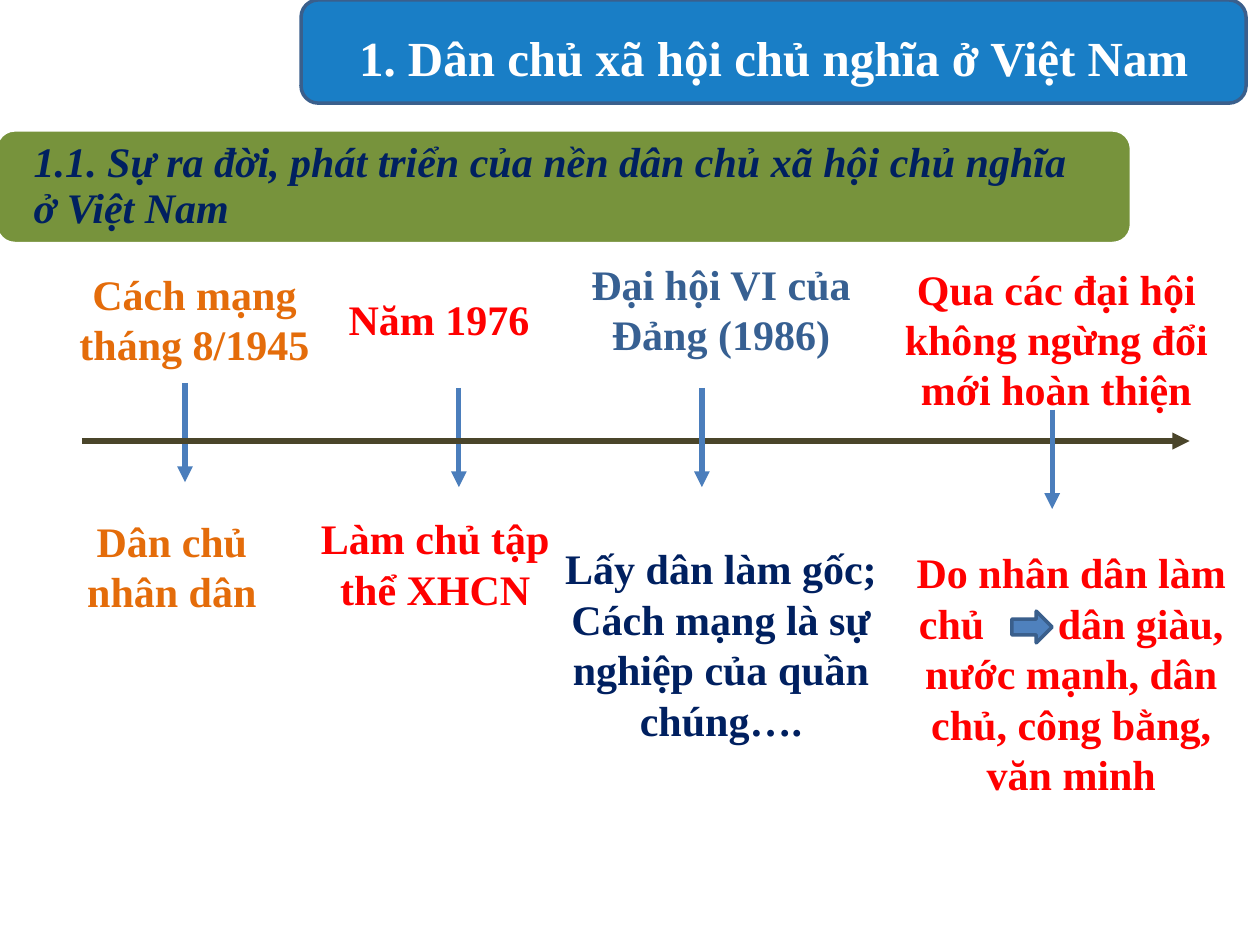
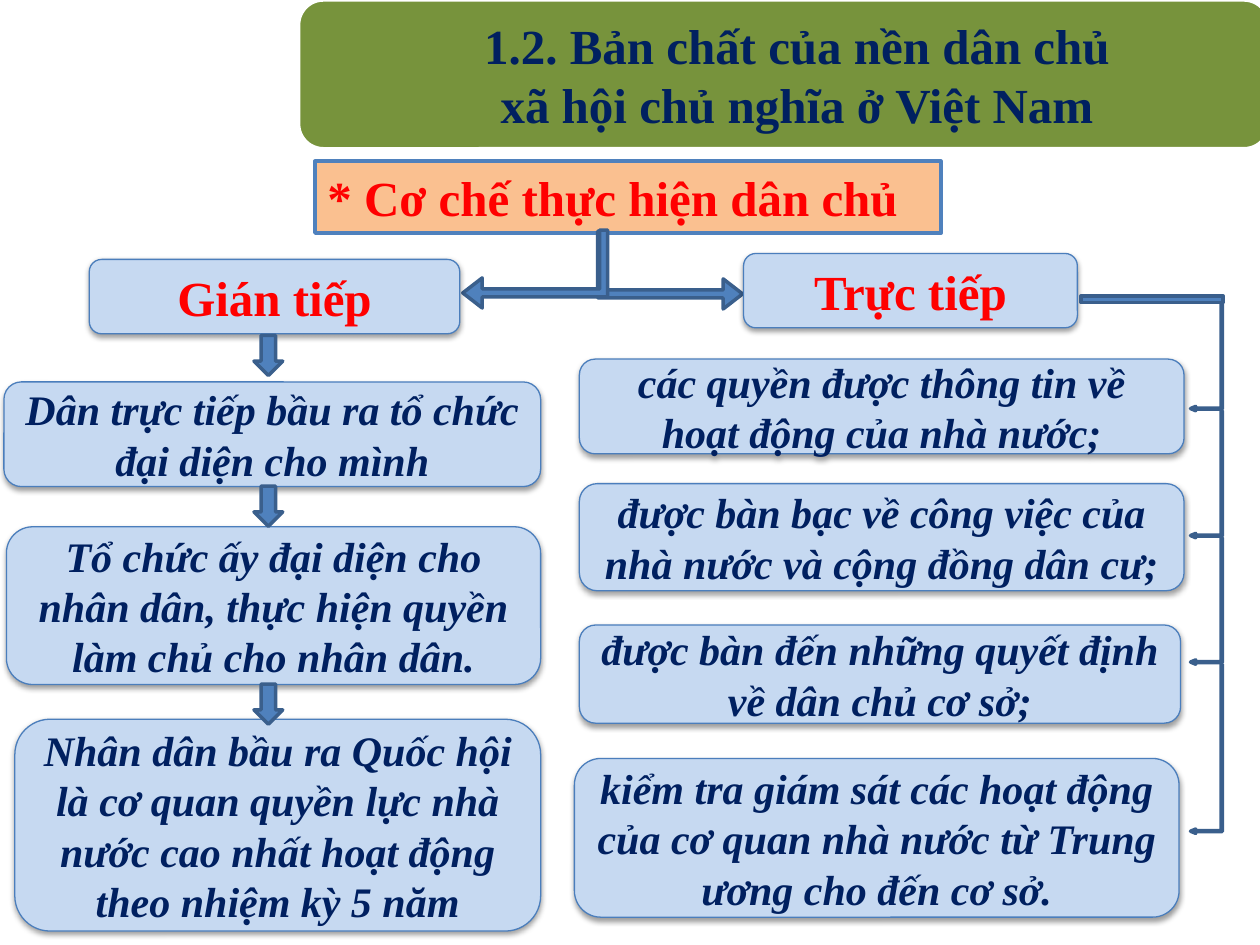
from collections import namedtuple
from itertools import pairwise

from lxml.etree import SubElement
from pptx import Presentation
from pptx.dml.color import RGBColor
from pptx.enum.shapes import MSO_CONNECTOR as Connector, MSO_SHAPE as Shape
from pptx.enum.text import MSO_ANCHOR as Anchor, MSO_AUTO_SIZE as AutoSize, PP_ALIGN as Align
from pptx.oxml.ns import qn
from pptx.util import Cm, Pt

Box = namedtuple("Box", "left top width height")
Milestone = namedtuple("Milestone", "event event_box event_color note note_box note_color arrow")

COLORS = {
    "white": "FFFFFF", "black": "000000", "navy": "002060", "red": "FF0000",
    "orange": "E46C0A", "steel": "376092", "green": "77933C", "title_blue": "0070C0",
    "pale_blue": "C6D9F1", "peach": "FAC090", "arrow": "4F81BD", "arrow_edge": "3A5F8C",
    "edge": "4B7EBC", "axis": "4A452A",
}
BASE = {"name": "Times New Roman", "bold": True, "italic": False}
HEADING = {**BASE, "size": Pt(28)}
BODY = {**BASE, "size": Pt(24)}
BODY_ITALIC = {**BODY, "italic": True}
FRAME = {"word_wrap": True, "auto_size": AutoSize.NONE}
TITLE_MARGINS = {"margin_left": Cm(0.61), "margin_right": Cm(0.61),
                 "margin_top": 0, "margin_bottom": 0}
BAND_MARGINS = {**TITLE_MARGINS, "margin_left": Cm(0.65), "margin_right": Cm(0.65)}

MILESTONES = [
    Milestone("Cách mạng tháng 8/1945", Box(1.14, 5.28, 5.56, 2.31), "orange",
              "Dân chủ nhân dân", Box(0.86, 10.26, 5.21, 2.31), "orange", (3.73, 7.72)),
    Milestone("Năm 1976", Box(6.07, 5.79, 5.56, 1.27), "red",
              "Làm chủ tập thể XHCN", Box(6.17, 10.21, 5.21, 2.31), "red", (9.25, 7.82)),
    Milestone("Đại hội VI của Đảng (1986)", Box(10.74, 5.08, 7.59, 2.31), "steel",
              "Lấy dân làm gốc;\nCách mạng là sự nghiệp của quần chúng….",
              Box(10.74, 10.82, 7.59, 4.37), "navy", (14.15, 7.82)),
    Milestone("Qua các đại hội không ngừng đổi mới hoàn thiện",
              Box(17.5, 5.18, 7.59, 3.33), "red",
              "Do nhân dân làm chủ| |dân giàu, nước mạnh, dân chủ, công bằng, văn minh",
              Box(17.8, 10.9, 7.59, 5.38), "red", (21.21, 8.26)),
]
INDIRECT_STEPS = [
    ("Dân trực tiếp bầu ra tổ chức đại diện cho mình", 0, 2.47, 2.11),
    ("Tổ chức ấy đại diện cho nhân dân, thực hiện quyền làm chủ cho nhân dân.", 0.05, 5.39, 3.18),
    ("Nhân dân bầu ra Quốc hội là cơ quan quyền lực nhà nước cao nhất hoạt động "
     "theo nhiệm kỳ 5 năm", 0.22, 9.27, 4.27),
]
DIRECT_RIGHTS = [
    ("các quyền được thông tin về hoạt động của nhà nước;", 0.1, 2.13, 12.19, 1.91),
    ("được bàn bạc về công việc của nhà nước và cộng đồng dân cư;", 0.1, 4.64, 12.19, 2.16),
    ("được bàn đến những quyết định về dân chủ cơ sở;", 0.1, 7.49, 12.12, 1.98),
    ("kiểm tra giám sát các hoạt động của cơ quan nhà nước từ Trung ương cho đến cơ sở.",
     0, 10.18, 12.19, 3.2),
]


def rgb(color):
    return RGBColor.from_string(COLORS[color])


def assign(target, values):
    for name, value in values.items():
        setattr(target, name, value)


def lengths(box):
    return [Cm(value) for value in box]


def inside(box, left, top, width, height):
    return Box(box.left + left, box.top + top, width, height)


def write(shape, text, look, color, align=Align.CENTER, anchor=Anchor.MIDDLE,
          margins=None, spacing=None):
    frame = shape.text_frame
    assign(frame, {**FRAME, "vertical_anchor": anchor, **(margins or {})})
    for index, line in enumerate(text.split("\n")):
        para = frame.add_paragraph() if index else frame.paragraphs[0]
        assign(para, {"alignment": align, "line_spacing": spacing})
        for part in line.split("|"):
            span = para.add_run()
            span.text = part
            assign(span.font, look)
            span.font.color.rgb = rgb(color)
            if part == " ":
                span._r.get_or_add_rPr().set("spc", "3600")


def add_text(page, box, text, color):
    write(page.shapes.add_textbox(*lengths(box)), text, BODY, color, anchor=Anchor.TOP)


def add_block(page, kind, box, fill, edge, weight=2):
    block = page.shapes.add_shape(kind, *lengths(box))
    block.shadow.inherit = False
    block.fill.solid()
    block.fill.fore_color.rgb = rgb(fill)
    block.line.color.rgb = rgb(edge)
    block.line.width = Pt(weight)
    return block


def add_arrow(page, kind, box):
    return add_block(page, kind, box, "arrow", "arrow_edge")


def add_elbow(page, box, rotation, flip, adjustments):
    shift = (box.width - box.height) / 2
    frame = Box(box.left + shift, box.top - shift, box.height, box.width)
    elbow = add_arrow(page, Shape.BENT_UP_ARROW, frame)
    elbow.rotation = rotation
    for index, value in enumerate(adjustments):
        elbow.adjustments[index] = value
    if flip:
        elbow._element.spPr.find(qn("a:xfrm")).set(flip, "1")


def add_line(page, start, end, color, weight):
    line = page.shapes.add_connector(Connector.STRAIGHT, *lengths(start + end))
    line.line.color.rgb = rgb(color)
    line.line.width = Pt(weight)
    SubElement(line.line._get_or_add_ln(), qn("a:tailEnd")).set("type", "triangle")
    SubElement(line._element.spPr, qn("a:effectLst"))


def add_card(page, box, text, look=BODY_ITALIC, color="navy"):
    card = add_block(page, Shape.ROUNDED_RECTANGLE, box, "pale_blue", "edge", 0.75)
    effects = card._element.spPr.find(qn("a:effectLst"))
    shadow = SubElement(effects, qn("a:outerShdw"), blurRad="40000", dist="20000",
                        dir="5400000", rotWithShape="0")
    tone = SubElement(shadow, qn("a:srgbClr"), val=COLORS["black"])
    SubElement(tone, qn("a:alpha"), val="38000")
    write(card, text, look, color)


def add_band(page, box, fill="green", edge="white"):
    return add_block(page, Shape.ROUNDED_RECTANGLE, box, fill, edge)


def set_title(page, box, text, color):
    title = page.shapes.title
    page.shapes._spTree.append(title._element)
    assign(title, dict(zip(box._fields, lengths(box))))
    write(title, text, HEADING, color, margins=TITLE_MARGINS)


def title_bar(page, box):
    bar = add_band(page, box, "title_blue", "arrow_edge")
    tone = bar._element.spPr.find(qn("a:solidFill"))[0]
    SubElement(tone, qn("a:alpha"), val="90000")
    set_title(page, inside(box, 0, 0.1, box.width, box.height),
              "1. Dân chủ xã hội chủ nghĩa ở Việt Nam", "white")


def section_band(page, box):
    write(add_band(page, box),
          "1.1. Sự ra đời, phát triển của nền dân chủ xã hội chủ nghĩa ở Việt Nam",
          BODY_ITALIC, "navy", Align.LEFT, margins=BAND_MARGINS, spacing=0.9)


def add_milestone(page, item):
    add_text(page, item.event_box, item.event, item.event_color)
    add_text(page, item.note_box, item.note, item.note_color)
    x, y = item.arrow
    add_line(page, (x, y), (x, y + 2), "edge", 3)


def timeline(page, box):
    for item in MILESTONES[:2]:
        add_milestone(page, item)
    add_line(page, (box.left, box.top), (box.left + box.width, box.top), "axis", 3.25)
    for item in MILESTONES[2:]:
        add_milestone(page, item)
    add_arrow(page, Shape.RIGHT_ARROW, inside(box, 18.75, 3.43, 0.81, 0.64))


def title_band(page, box):
    add_band(page, box)
    set_title(page, inside(box, 0.38, 0.14, 19.33, 2.72),
              "1.2. Bản chất của nền dân chủ\nxã hội chủ nghĩa ở Việt Nam", "navy")


def mechanism(page, box):
    label = add_block(page, Shape.RECTANGLE, box, "peach", "arrow")
    write(label, "* Cơ chế thực hiện dân chủ", HEADING, "red", Align.LEFT, Anchor.TOP)
    bend = (0.103, 0.193, 0.25)
    add_elbow(page, inside(box, 5.7, 1.41, 2.92, 1.57), 90, None, bend)
    add_elbow(page, inside(box, 2.98, 1.39, 2.92, 1.57), 270, "flipH", bend)


def indirect_branch(page, box):
    add_card(page, inside(box, 1.72, 0, 7.47, 1.5), "Gián tiếp", HEADING, "red")
    for text, left, top, height in INDIRECT_STEPS:
        add_card(page, inside(box, left, top, box.width - left, height), text)
    for top in (1.53, 4.57, 8.56):
        add_arrow(page, Shape.DOWN_ARROW, inside(box, 5.04, top, 0.58, 0.81))


def direct_branch(page, box):
    add_card(page, inside(box, 3.41, 0, 6.73, 1.5), "Trực tiếp", HEADING, "red")
    for text, *place in DIRECT_RIGHTS:
        add_card(page, inside(box, *place), text)
    for top, bottom in pairwise((0.86, 3.17, 5.73, 8.28, 11.69)):
        add_elbow(page, inside(box, 12.42, top, 0.64, bottom - top), 90, "flipV",
                  (0.031, 0.067, 0.164))
    add_arrow(page, Shape.RECTANGLE, inside(box, 10.21, 0.86, 2.87, 0.13))


def history_page(page):
    title_bar(page, Box(6.07, 0, 19.05, 2.08))
    section_band(page, Box(-0.08, 2.62, 22.89, 2.29))
    timeline(page, Box(1.65, 8.89, 22.33, 0))


def nature_page(page):
    title_band(page, Box(6.02, 0, 19.56, 3))
    mechanism(page, Box(6.35, 3.25, 12.62, 1.45))
    indirect_branch(page, Box(0.08, 5.23, 10.82, 13.54))
    direct_branch(page, Box(11.58, 5.11, 13.08, 13.38))


def main():
    deck = Presentation()
    deck.slide_width, deck.slide_height = Cm(25.4), Cm(19.05)
    for build in (history_page, nature_page):
        build(deck.slides.add_slide(deck.slide_layouts[5]))
    deck.save("out.pptx")


if __name__ == "__main__":
    main()
